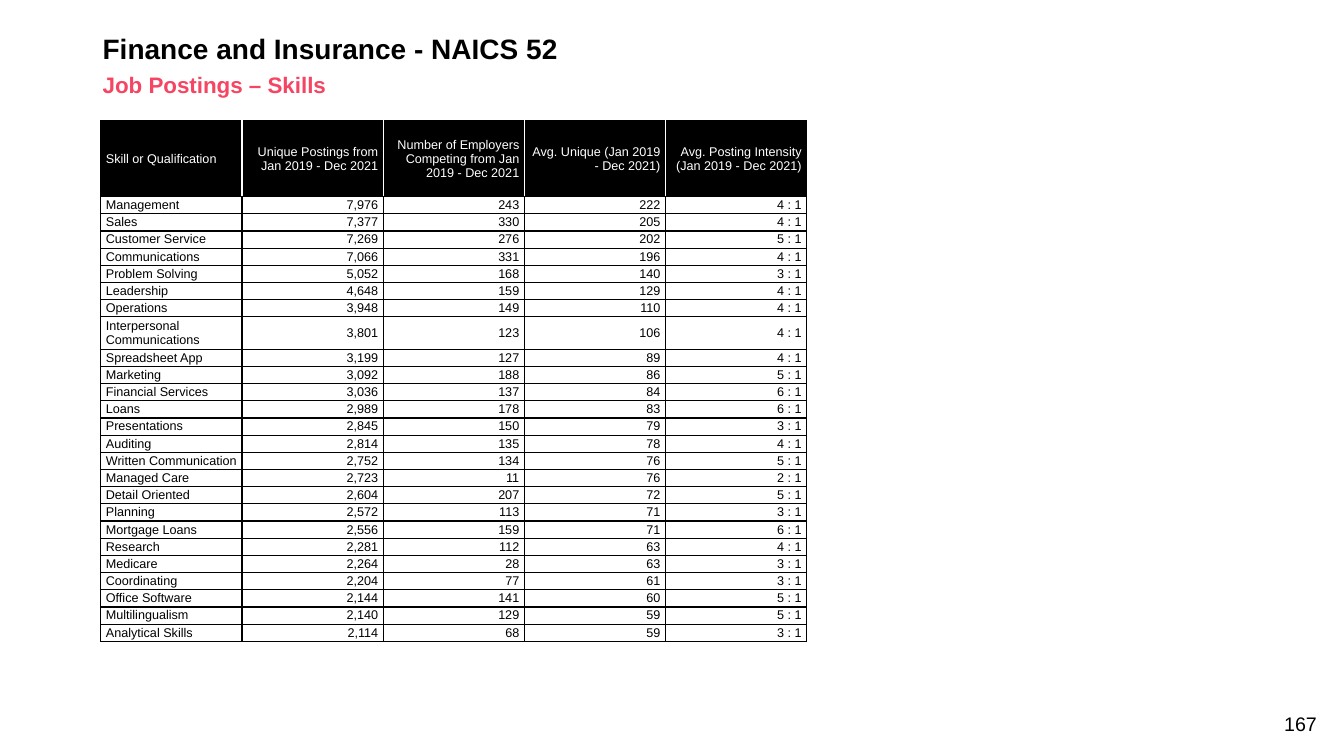
from lxml import etree
from pptx import Presentation
from pptx.dml.color import RGBColor
from pptx.enum.text import MSO_ANCHOR as ANCHOR, PP_ALIGN as ALIGN
from pptx.oxml.ns import qn
from pptx.util import Inches, Pt

FONT = "Arial"
BLACK, WHITE, PINK = "000000", "FFFFFF", "F54562"

HEADERS = [
    "Skill or Qualification",
    "Unique Postings from Jan 2019 - Dec 2021",
    "Number of Employers Competing from Jan 2019 - Dec 2021",
    "Avg. Unique (Jan 2019 - Dec 2021)",
    "Avg. Posting Intensity (Jan 2019 - Dec 2021)",
]
SKILLS = [
    ("Management", "7,976", "243", "222", "4 : 1"),
    ("Sales", "7,377", "330", "205", "4 : 1"),
    ("Customer Service", "7,269", "276", "202", "5 : 1"),
    ("Communications", "7,066", "331", "196", "4 : 1"),
    ("Problem Solving", "5,052", "168", "140", "3 : 1"),
    ("Leadership", "4,648", "159", "129", "4 : 1"),
    ("Operations", "3,948", "149", "110", "4 : 1"),
    ("Interpersonal Communications", "3,801", "123", "106", "4 : 1"),
    ("Spreadsheet App", "3,199", "127", "89", "4 : 1"),
    ("Marketing", "3,092", "188", "86", "5 : 1"),
    ("Financial Services", "3,036", "137", "84", "6 : 1"),
    ("Loans", "2,989", "178", "83", "6 : 1"),
    ("Presentations", "2,845", "150", "79", "3 : 1"),
    ("Auditing", "2,814", "135", "78", "4 : 1"),
    ("Written Communication", "2,752", "134", "76", "5 : 1"),
    ("Managed Care", "2,723", "11", "76", "2 : 1"),
    ("Detail Oriented", "2,604", "207", "72", "5 : 1"),
    ("Planning", "2,572", "113", "71", "3 : 1"),
    ("Mortgage Loans", "2,556", "159", "71", "6 : 1"),
    ("Research", "2,281", "112", "63", "4 : 1"),
    ("Medicare", "2,264", "28", "63", "3 : 1"),
    ("Coordinating", "2,204", "77", "61", "3 : 1"),
    ("Office Software", "2,144", "141", "60", "5 : 1"),
    ("Multilingualism", "2,140", "129", "59", "5 : 1"),
    ("Analytical Skills", "2,114", "68", "59", "3 : 1"),
]


def rgb(color):
    return RGBColor.from_string(color)


def style_paragraph(p, size, color, align, bold=False):
    p.alignment = align
    p.font.name = FONT
    p.font.size = Pt(size)
    p.font.bold = bold
    p.font.color.rgb = rgb(color)


def add_text(s, text, box, size, color, align=ALIGN.LEFT, bold=False,
             anchor=ANCHOR.MIDDLE, spacing=None):
    tf = s.shapes.add_textbox(*map(Inches, box)).text_frame
    tf.word_wrap = True
    tf.vertical_anchor = anchor
    p = tf.paragraphs[0]
    p.text = text
    p.line_spacing = spacing
    style_paragraph(p, size, color, align, bold)


def set_border(cell, side, color):
    tc_pr = cell._tc.get_or_add_tcPr()
    ln = etree.SubElement(tc_pr, qn(f"a:ln{side}"), w=str(Pt(1)))
    fill = etree.SubElement(ln, qn("a:solidFill"))
    etree.SubElement(fill, qn("a:srgbClr"), val=color)


def fill_cell(cell, text, is_header, is_first, is_last):
    cell.margin_left = cell.margin_right = Inches(0.05)
    cell.margin_top = cell.margin_bottom = Inches(0.01)
    cell.vertical_anchor = ANCHOR.MIDDLE
    p = cell.text_frame.paragraphs[0]
    p.text = text
    style_paragraph(p, 9, WHITE if is_header else BLACK,
                    ALIGN.LEFT if is_first else ALIGN.RIGHT)
    inner = WHITE if is_header else BLACK
    set_border(cell, "L", BLACK if is_first else inner)
    set_border(cell, "R", BLACK if is_last else inner)
    set_border(cell, "T", BLACK)
    set_border(cell, "B", BLACK)
    if is_header:
        cell.fill.solid()
        cell.fill.fore_color.rgb = rgb(BLACK)
    else:
        cell.fill.background()


def add_skills_table(s):
    rows = [HEADERS, *SKILLS]
    last = len(HEADERS) - 1
    table = s.shapes.add_table(len(rows), len(HEADERS), Inches(1), Inches(1.2),
                               Inches(7), Inches(3.75)).table
    table.first_row = False
    table.horz_banding = False
    for r, values in enumerate(rows):
        table.rows[r].height = Inches(0.12 if r else 0.75)
        for c, value in enumerate(values):
            fill_cell(table.cell(r, c), value, r == 0, c == 0, c == last)


def main():
    prs = Presentation()
    prs.slide_width, prs.slide_height = Inches(13.33), Inches(7.5)
    s = prs.slides.add_slide(prs.slide_layouts[6])
    add_text(s, "167", (12.36, 7.01, 0.8, 0.34), 14, BLACK,
             align=ALIGN.RIGHT, anchor=ANCHOR.BOTTOM)
    add_text(s, "Finance and Insurance - NAICS 52", (0.92, 0.3, 11.5, 0.4),
             20, BLACK, bold=True, spacing=0.9)
    add_text(s, "Job Postings – Skills", (0.92, 0.71, 11.5, 0.3),
             16, PINK, bold=True, spacing=0.9)
    add_skills_table(s)
    prs.save("out.pptx")


if __name__ == "__main__":
    main()
